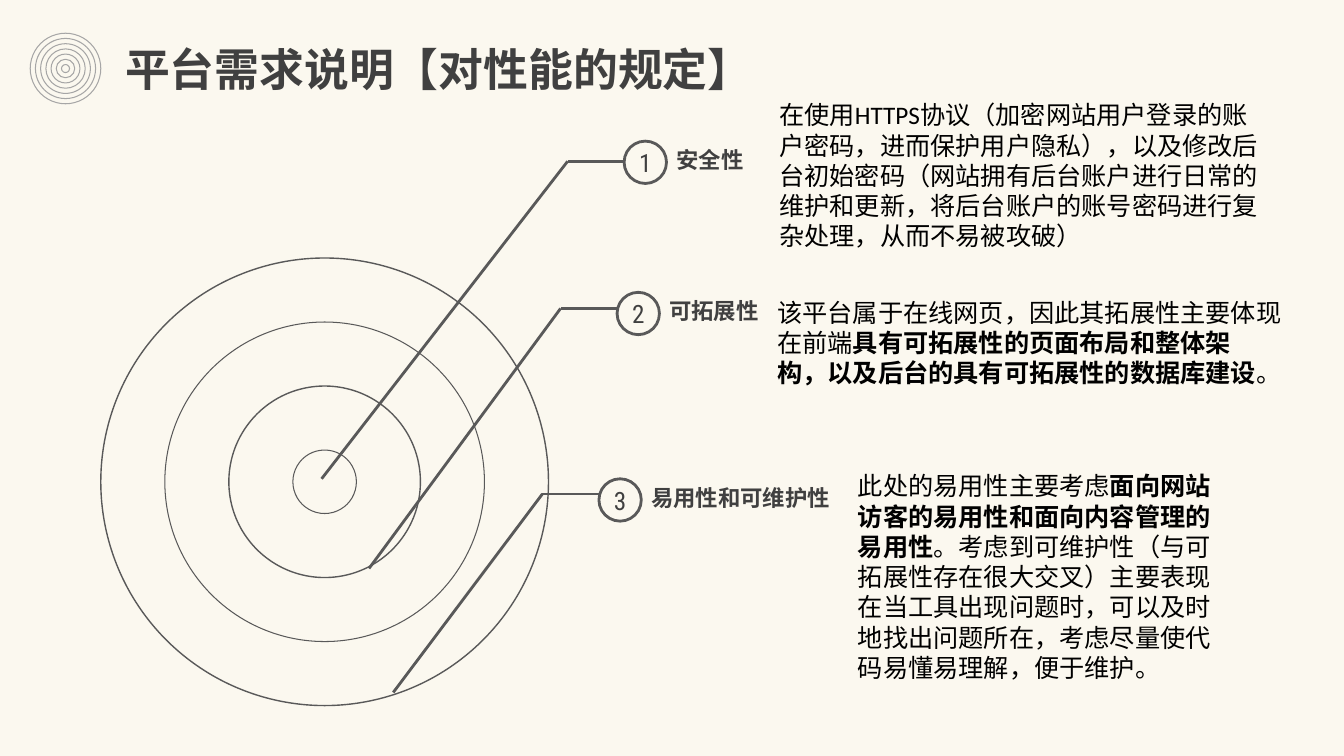
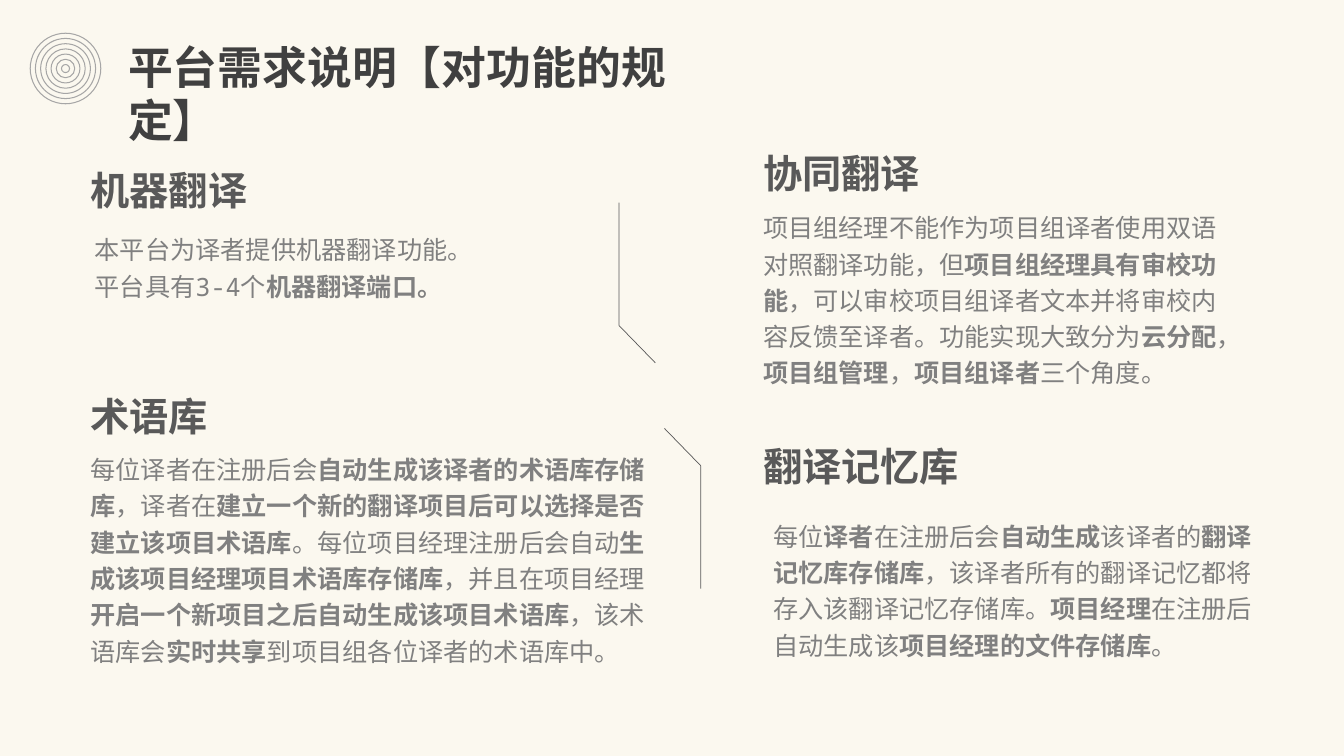
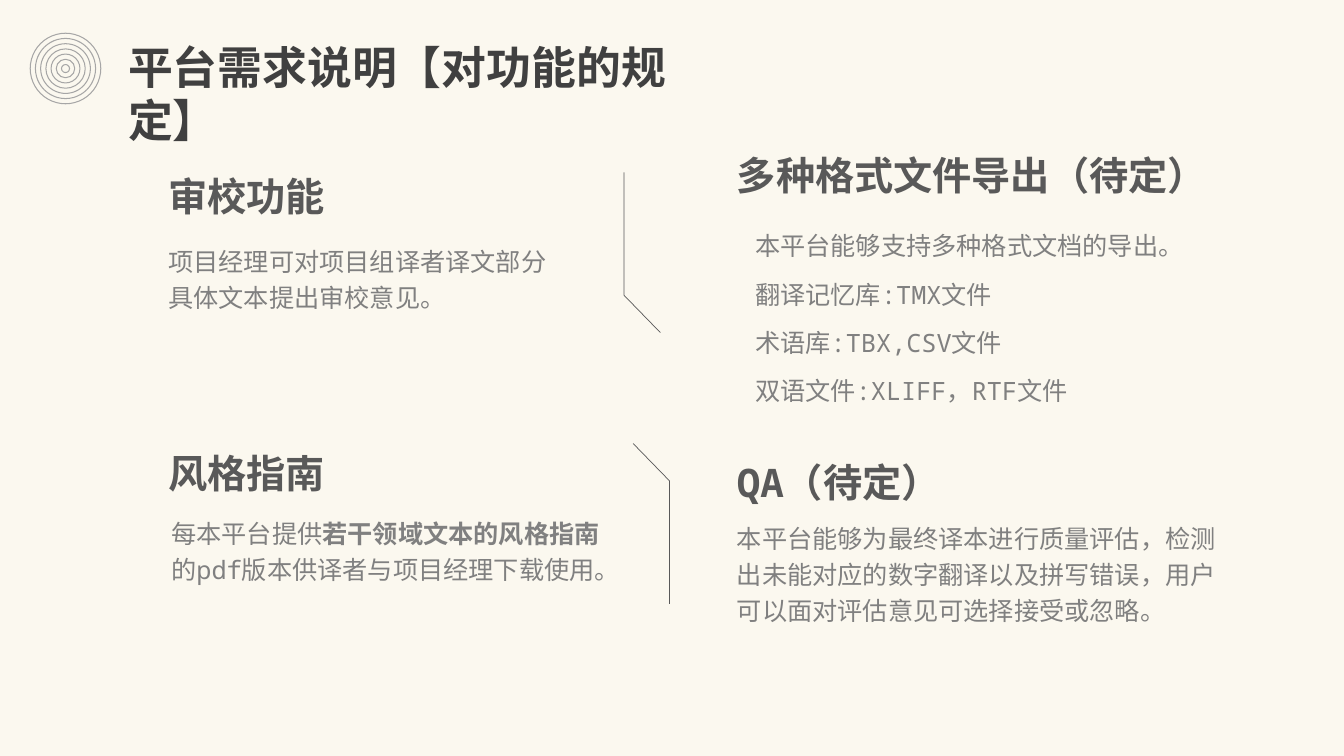
from pptx import Presentation, util as u
from pptx.dml.color import RGBColor
from pptx.enum import lang, shapes, text
from lxml import etree
from pptx.oxml.ns import qn

# Shared look
CREAM = RGBColor(0xFB, 0xF8, 0xEF)
INK = RGBColor(0x40, 0x40, 0x40)
LINE = RGBColor(0x59, 0x59, 0x59)
BODY = RGBColor(0x80, 0x80, 0x80)
PALE = RGBColor(0xA6, 0xA6, 0xA6)
BLACK = RGBColor(0, 0, 0)
TITLE_STYLE = dict(font="Roboto Condensed", size=32, color=INK, bold=True)
LABEL_STYLE = dict(font="Roboto Condensed", size=16, color=INK, bold=True)
NUMBER_STYLE = dict(font="Roboto Condensed", size=18, color=INK)
NOTE_STYLE = dict(font="Calibri", size=18, color=BLACK)
HEADING_STYLE = dict(font="Noto Sans Mono", size=28, color=LINE, bold=True, airy=True)
BODY_STYLE = dict(font="Noto Sans Mono", size=18, color=BODY, airy=True)

# Content; words between asterisks are bold
PERFORMANCE_TITLE = ("平台需求说明【对性能的规定】", (1.14, 0.36, 6.49, 0.64))
FUNCTION_TITLE = "平台需求说明【对功能的规定】"

# Label, badge corner, elbow height, line tip, note box, note paragraphs
CALLOUTS = [
    ("安全性", (6.19, 1.4), 1.6, (3.19, 4.75), (7.63, 0.94, 5.08, 1.61),
     ["在使用HTTPS协议（加密网站用户登录的账",
      "户密码，进而保护用户隐私），以及修改后台初始密码（网站拥有后台账户进行日常的"
      "维护和更新，将后台账户的账号密码进行复杂处理，从而不易被攻破）"]),
    ("可拓展性", (6.12, 2.9), 3.06, (3.66, 5.64), (7.61, 2.9, 5.39, 1.01),
     ["该平台属于在线网页，因此其拓展性主要体现在前端*具有可拓展性的页面布局和整体架*",
      "*构，以及后台的具有可拓展性的数据库建设*。"]),
    ("易用性和可维护性", (5.94, 4.75), 4.9, (3.9, 6.87), (8.41, 4.62, 3.84, 2.22),
     ["此处的易用性主要考虑*面向网站访客的易用性和面向内容管理的易用性*。"
      "考虑到可维护性（与可拓展性存在很大交叉）主要表现在当工具出现问题时，"
      "可以及时地找出问题所在，考虑尽量使代码易懂易理解，便于维护。"]),
]

# Title box, corners of the upper and lower bracket, then
# heading, heading box, body box, body paragraphs
FUNCTION_SLIDES = [
    ((1.17, 0.34, 6.3, 1.18), (6.14, 2.01), (6.59, 4.25), [
        ("机器翻译", (0.8, 1.51, 3.33, 0.66), (0.84, 2.22, 4.15, 0.8),
         ["本平台为译者提供机器翻译功能。平台具有3-4个*机器翻译端口。*"]),
        ("协同翻译", (7.47, 1.34, 2.55, 0.66), (7.47, 2, 4.81, 1.89),
         ["项目组经理不能作为项目组译者使用双语对照翻译功能，但*项目组经理具有审校功能*，"
          "可以审校项目组译者文本并将审校内容反馈至译者。功能实现大致分为*云分配*，"
          "*项目组管理*，*项目组译者*三个角度。"]),
        ("翻译记忆库", (7.47, 4.25, 3.13, 0.66), (7.57, 5.06, 5.15, 1.89),
         ["每位*译者*在注册后会*自动生成*该译者的*翻译记忆库存储库*，"
          "该译者所有的翻译记忆都将存入该翻译记忆存储库。"
          "*项目经理*在注册后自动生成该*项目经理的文件存储库*。"]),
        ("术语库", (0.8, 3.75, 4.81, 0.63), (0.8, 4.4, 5.86, 2.6),
         ["每位译者在注册后会*自动生成该译者的术语库存储库*，译者在"
          "*建立一个新的翻译项目后可以选择是否建立该项目术语库*。"
          "每位项目经理注册后会自动*生成该项目经理项目术语库存储库*，并且在项目经理"
          "*开启一个新项目之后自动生成该项目术语库*，"
          "该术语库会*实时共享*到项目组各位译者的术语库中。"]),
    ]),
    ((1.17, 0.34, 6.05, 0.64), (6.19, 1.71), (6.28, 4.4), [
        ("审校功能", (1.57, 1.57, 3.33, 0.66), (1.57, 2.33, 4.15, 0.83),
         ["项目经理可对项目组译者译文部分具体文本提出审校意见。"]),
        ("多种格式文件导出（待定）", (7.21, 1.36, 4.98, 0.66), (7.39, 2.18, 4.81, 1.9),
         ["本平台能够支持多种格式文档的导出。", "翻译记忆库:TMX文件",
          "术语库:TBX,CSV文件", "双语文件:XLIFF，RTF文件"]),
        ("风格指南", (1.57, 4.32, 2.55, 0.66), (1.6, 5.03, 4.59, 0.8),
         ["每本平台提供*若干领域文本的风格指南*的pdf版本供译者与项目经理下载使用。"]),
        ("QA（待定）", (7.21, 4.4, 4.08, 0.62), (7.21, 5.08, 5.17, 1.55),
         ["本平台能够为最终译本进行质量评估，检测出未能对应的数字翻译以及拼写错误，"
          "用户可以面对评估意见可选择接受或忽略。"]),
    ]),
]

BADGE = 0.42
LEAD = 0.56  # level part of a callout line
BRACKET_W, BRACKET_H, BRACKET_STEM = 0.36, 1.59, 1.22


def inches(values):
    return [u.Inches(v) for v in values]


def write(frame, paragraphs, font, size, color, bold=False, airy=False,
          align=text.PP_ALIGN.LEFT):
    for i, content in enumerate(paragraphs):
        p = frame.paragraphs[0] if i == 0 else frame.add_paragraph()
        p.alignment = align
        p.font.name, p.font.size = font, u.Pt(size)
        p.font.color.rgb = color
        p.font.bold = bold
        p.font.language_id = lang.MSO_LANGUAGE_ID.SIMPLIFIED_CHINESE
        if airy:
            p.line_spacing, p.space_before = 1.2, u.Pt(8.5)
        for j, part in enumerate(content.split("*")):
            if part:
                run = p.add_run()
                run.text = part
                if j % 2:
                    run.font.bold = True


def add_text(slide, box, paragraphs, style, wrap=True):
    frame = slide.shapes.add_textbox(*inches(box)).text_frame
    frame.word_wrap = wrap
    write(frame, paragraphs, **style)


def outline(shape, color, width, fill=None):
    shape.shadow.inherit = False
    shape.line.color.rgb = color
    shape.line.width = u.Pt(width)
    if fill is None:
        shape.fill.background()
    else:
        shape.fill.solid()
        shape.fill.fore_color.rgb = fill


def add_circle(slide, left, top, size, color, width, fill=None):
    circle = slide.shapes.add_shape(shapes.MSO_SHAPE.OVAL,
                                    *inches((left, top, size, size)))
    outline(circle, color, width, fill)
    return circle


def add_rings(slide, center, smallest, step, count, color, widths, fill=None):
    """Concentric circles, the largest at the back."""
    for i in reversed(range(count)):
        size = smallest + i * step
        add_circle(slide, center[0] - size / 2, center[1] - size / 2, size,
                   color, widths[i % len(widths)], fill)


def add_line(slide, start, end):
    line = slide.shapes.add_connector(shapes.MSO_CONNECTOR.STRAIGHT,
                                      *inches((*start, *end)))
    line.line.color.rgb = LINE
    line.line.width = u.Pt(0)
    etree.SubElement(line._element.spPr, qn("a:effectLst"))


def add_bracket(slide, corner, turned=False):
    points = [(0, 0), (0, BRACKET_STEM), (BRACKET_W, BRACKET_H)]
    if turned:
        points = [(BRACKET_W - x, BRACKET_H - y) for x, y in points]
    points = [inches((corner[0] + x, corner[1] + y)) for x, y in points]
    builder = slide.shapes.build_freeform(*points[0])
    builder.add_line_segments(points[1:], close=False)
    outline(builder.convert_to_shape(), LINE, 0.5)


def add_slide(prs, title, box):
    slide = prs.slides.add_slide(prs.slide_layouts[5])
    heading = slide.shapes.title
    heading.left, heading.top, heading.width, heading.height = inches(box)
    frame = heading.text_frame
    frame.vertical_anchor = text.MSO_ANCHOR.TOP
    frame.auto_size = text.MSO_AUTO_SIZE.NONE
    frame.word_wrap = True
    write(frame, [title], **TITLE_STYLE)
    add_rings(slide, (0.65, 0.68), 0.08, 0.62 / 6, 7, PALE, [0], CREAM)
    return slide


def add_callout(slide, number, label, badge, elbow_y, tip, note_box, note):
    left, top = badge
    elbow = (left - LEAD, elbow_y)
    add_line(slide, elbow, (left, elbow_y))
    add_line(slide, elbow, tip)
    label_width = 0.2 + len(label) * LABEL_STYLE["size"] / 72
    add_text(slide, (left + BADGE, top, label_width, 0.37), [label],
             LABEL_STYLE, wrap=False)
    frame = add_circle(slide, left, top, BADGE, LINE, 2).text_frame
    frame.margin_left = frame.margin_right = 0
    frame.margin_top = frame.margin_bottom = 0
    frame.vertical_anchor = text.MSO_ANCHOR.MIDDLE
    frame.word_wrap = False
    write(frame, [str(number)], align=text.PP_ALIGN.CENTER, **NUMBER_STYLE)
    add_text(slide, note_box, note, NOTE_STYLE)


def main():
    prs = Presentation()
    prs.slide_width, prs.slide_height = inches((13.33, 7.5))
    backdrop = prs.slide_master.background.fill
    backdrop.solid()
    backdrop.fore_color.rgb = CREAM

    # Performance: target rings with callouts
    slide = add_slide(prs, *PERFORMANCE_TITLE)
    add_rings(slide, (3.22, 4.78), 0.63, 1.27, 4, LINE, [0, 1])
    for number, callout in enumerate(CALLOUTS, 1):
        add_callout(slide, number, *callout)

    # Functions: four topics around two brackets
    for title_box, upper, lower, topics in FUNCTION_SLIDES:
        slide = add_slide(prs, FUNCTION_TITLE, title_box)
        add_bracket(slide, upper)
        add_bracket(slide, lower, turned=True)
        for heading, heading_box, body_box, body in topics:
            add_text(slide, heading_box, [heading], HEADING_STYLE)
            add_text(slide, body_box, body, BODY_STYLE)

    prs.save("out.pptx")


if __name__ == "__main__":
    main()
